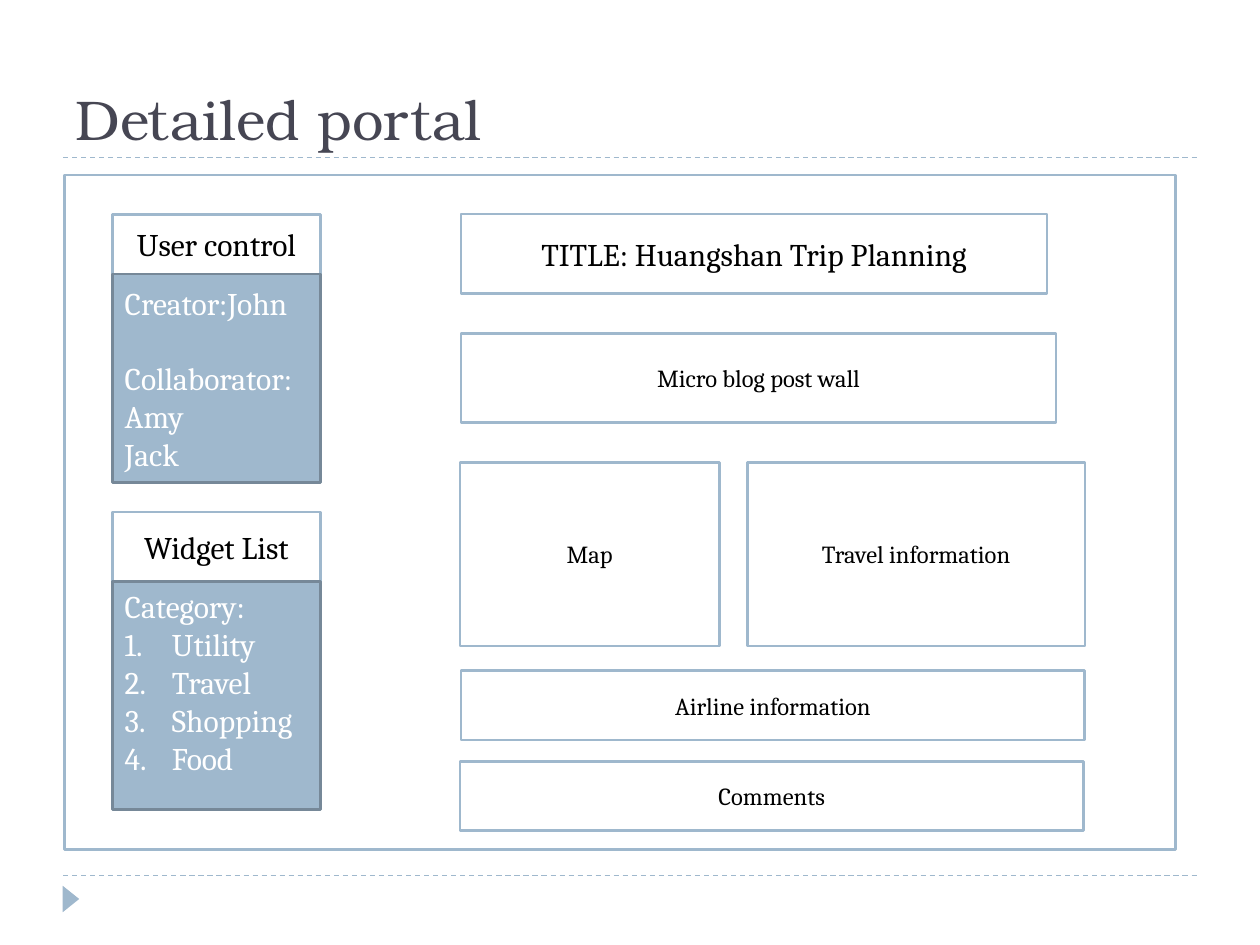
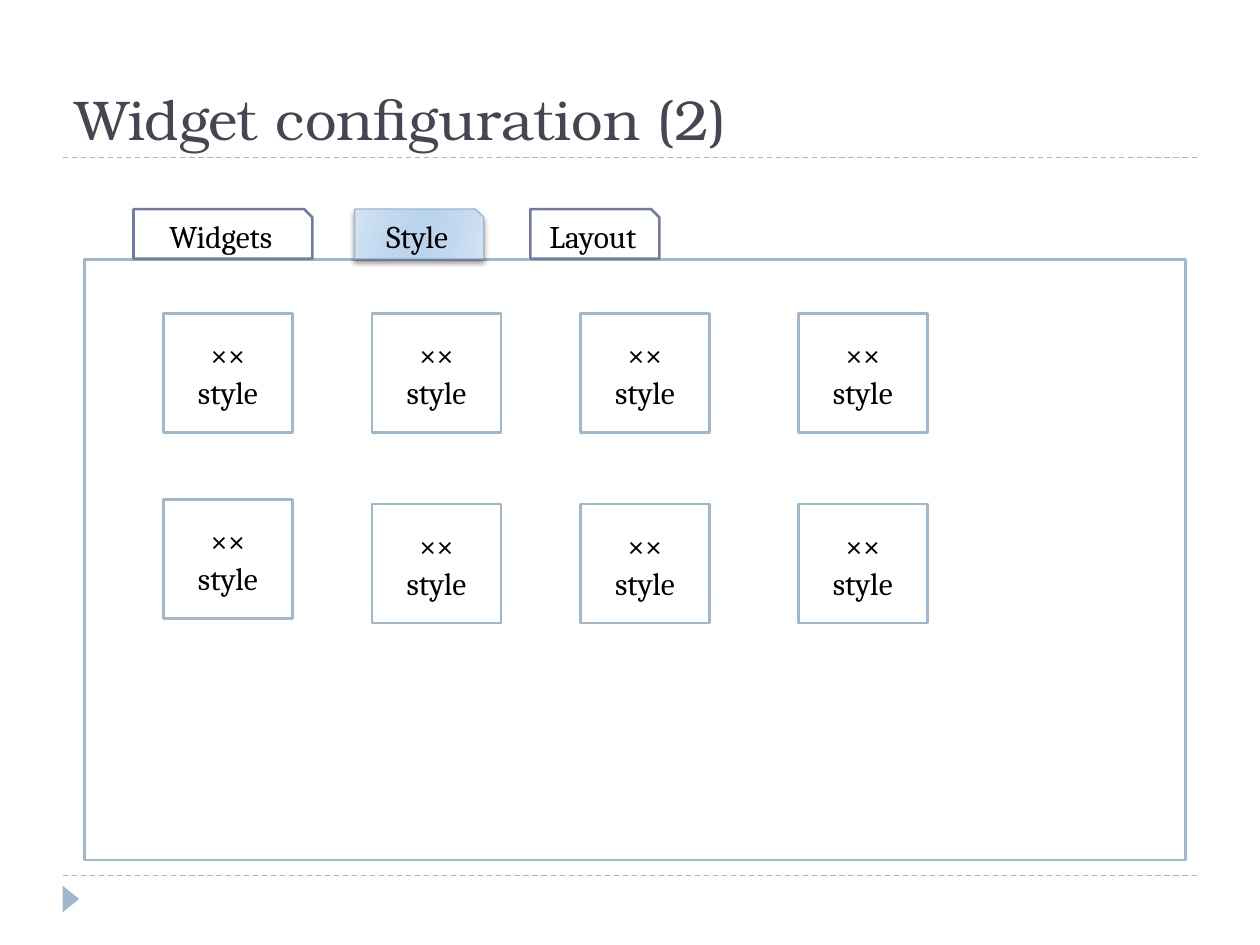
from dataclasses import dataclass

from lxml import etree
from pptx import Presentation
from pptx.dml.color import RGBColor
from pptx.enum.dml import MSO_LINE
from pptx.enum.shapes import MSO_CONNECTOR, MSO_SHAPE
from pptx.enum.text import MSO_ANCHOR, PP_ALIGN
from pptx.oxml import parse_xml
from pptx.oxml.ns import nsdecls, qn
from pptx.util import Pt

RECTANGLE = MSO_SHAPE.RECTANGLE
TAB = MSO_SHAPE.SNIP_1_RECTANGLE
TRIANGLE = MSO_SHAPE.ISOSCELES_TRIANGLE
STRAIGHT = MSO_CONNECTOR.STRAIGHT
DASH = MSO_LINE.DASH
TOP, MIDDLE, BOTTOM = MSO_ANCHOR.TOP, MSO_ANCHOR.MIDDLE, MSO_ANCHOR.BOTTOM
LEFT, CENTER = PP_ALIGN.LEFT, PP_ALIGN.CENTER


@dataclass(frozen=True)
class Theme:
    white: RGBColor = RGBColor.from_string("FFFFFF")
    black: RGBColor = RGBColor.from_string("000000")
    title: RGBColor = RGBColor.from_string("464653")
    accent: RGBColor = RGBColor.from_string("9FB8CD")
    accent_dark: RGBColor = RGBColor.from_string("768898")
    tab_line: RGBColor = RGBColor.from_string("727CA3")
    title_font: str = "TeX Gyre Bonum"
    body_font: str = "Cambria"
    title_size: int = 32
    large: int = 18
    small: int = 14
    thin: float = 0.75
    thick: float = 1.5


THEME = Theme()


def write_lines(frame, lines, anchor=MIDDLE, align=CENTER, **font):
    """Put one paragraph per line into the frame; return the paragraphs."""
    frame.word_wrap = True
    frame.vertical_anchor = anchor
    style = {"name": THEME.body_font, "size": THEME.large, "color": THEME.black} | font
    color = style.pop("color")
    style["size"] = Pt(style["size"])
    paras = []
    for index, line in enumerate(lines):
        para = frame.add_paragraph() if index else frame.paragraphs[0]
        para.alignment = align
        span = para.add_run()
        span.text = line
        for name, value in style.items():
            setattr(span.font, name, value)
        span.font.color.rgb = color
        paras.append(para)
    return paras


def add_box(page, at, kind=RECTANGLE, fill=THEME.white, line=THEME.accent):
    box = page.shapes.add_shape(kind, *(Pt(length) for length in at))
    box.shadow.inherit = False
    box.fill.solid()
    box.fill.fore_color.rgb = fill
    box.line.color.rgb = line
    box.line.width = Pt(THEME.thick)
    return box


deck = Presentation()
deck.slide_width, deck.slide_height = Pt(720), Pt(540)

# Title, dashed rules and corner marker on every page
pages = []
for title in ("Detailed portal", "Widget configuration (2)"):
    page = deck.slides.add_slide(deck.slide_layouts[6])
    for y in (500.4, 90):
        rule = page.shapes.add_connector(STRAIGHT, Pt(36), Pt(y), Pt(684), Pt(y))
        rule.line.color.rgb = THEME.accent
        rule.line.width = Pt(THEME.thin)
        rule.line.dash_style = DASH
        etree.SubElement(rule.line._get_or_add_ln().getparent(), qn("a:effectLst"))
    marker = add_box(page, (33, 509, 15.1, 9.4), TRIANGLE, THEME.accent)
    marker.rotation = 90
    marker.line.fill.background()
    heading = page.shapes.add_textbox(Pt(36), Pt(18), Pt(648), Pt(72))
    write_lines(heading.text_frame, [title], BOTTOM, LEFT, name=THEME.title_font,
                size=THEME.title_size, color=THEME.title)
    pages.append(page)
portal, configuration = pages

# Portal: side panels, each a header above a filled body
add_box(portal, (36.8, 100, 635, 385.5))
side_panels = [
    ("User control", 122.4, 34.2, 119, MIDDLE,
     ["Creator:John", "Collaborator:", "Amy", "Jack"]),
    ("Widget List", 292.6, 39.6, 130.5, TOP,
     ["Category:", "Utility", "Travel", "Shopping", "Food"]),
]
panel_paras = []
for header, top, header_height, body_height, anchor, lines in side_panels:
    head_box = add_box(portal, (64.2, top, 119, header_height))
    write_lines(head_box.text_frame, [header])
    body_box = add_box(portal, (64.2, top + header_height, 119, body_height),
                       fill=THEME.accent, line=THEME.accent_dark)
    panel_paras.append(write_lines(body_box.text_frame, lines, anchor, LEFT,
                                   color=THEME.white))
user_paras, category_paras = panel_paras
user_paras[1].space_before = Pt(21.4)
for para in category_paras[1:]:
    properties = para._p.get_or_add_pPr()
    properties.set("marL", str(Pt(27)))
    properties.set("indent", str(-Pt(27)))
    etree.SubElement(properties, qn("a:buFont"), typeface="+mj-lt")
    etree.SubElement(properties, qn("a:buAutoNum"), type="arabicPeriod")

# Portal: main column
main_boxes = [
    ("TITLE: Huangshan Trip Planning", (263.5, 122.4, 334.8, 45.4), THEME.large),
    ("Micro blog post wall", (263.5, 190.5, 340, 51), THEME.small),
    ("Map", (262.8, 264.2, 148.3, 105), THEME.small),
    ("Travel information", (427, 264.2, 193, 105), THEME.small),
    ("Airline information", (263.5, 383.3, 356.4, 39.6), THEME.small),
    ("Comments", (262.8, 435, 356.4, 39.6), THEME.small),
]
for label, at, size in main_boxes:
    write_lines(add_box(portal, at).text_frame, [label], size=size)

# Configuration: panel with tabs, the active one shaded
add_box(configuration, (48.2, 148.2, 629.3, 343.4))
tabs = {}
for label, left, width in (("Style", 202.8, 73.7), ("Layout", 303.1, 73.7),
                           ("Widgets", 76.3, 102.2)):
    tab = add_box(configuration, (left, 119.5, width, 28.4), TAB, line=THEME.tab_line)
    write_lines(tab.text_frame, [label])
    tabs[label] = tab

active = tabs["Style"]
active.line.color.rgb = THEME.accent
active.line.width = Pt(THEME.thin)
stops = "".join(
    f'<a:gs pos="{percent * 1000}"><a:srgbClr val="{color}"/></a:gs>'
    for percent, color in ((0, "D3E3F2"), (30, "C0D8EE"), (45, "BAD4EC"),
                           (55, "BAD4EC"), (73, "C0D8EE"), (100, "D3E3F2")))
gradient = parse_xml(f'<a:gradFill {nsdecls("a")} rotWithShape="1"><a:gsLst>{stops}</a:gsLst>'
                     '<a:lin ang="960000" scaled="0"/></a:gradFill>')
properties = active._element.spPr
properties.replace(properties.find(qn("a:solidFill")), gradient)
properties.find(qn("a:effectLst")).append(parse_xml(
    f'<a:outerShdw {nsdecls("a")} blurRad="{Pt(3)}" dist="{Pt(2)}" dir="5400000" '
    'rotWithShape="0"><a:srgbClr val="000000"><a:alpha val="40000"/></a:srgbClr>'
    '</a:outerShdw>'))

# Configuration: style tiles; the first tile of the second row sits a little higher
for row_tops in ((179, 179, 179, 179), (285.5, 288, 288, 288)):
    for left, top in zip((93.4, 212.6, 331.7, 456.2), row_tops):
        tile = add_box(configuration, (left, top, 73.7, 68))
        write_lines(tile.text_frame, ["××", "style"])

deck.save("out.pptx")
